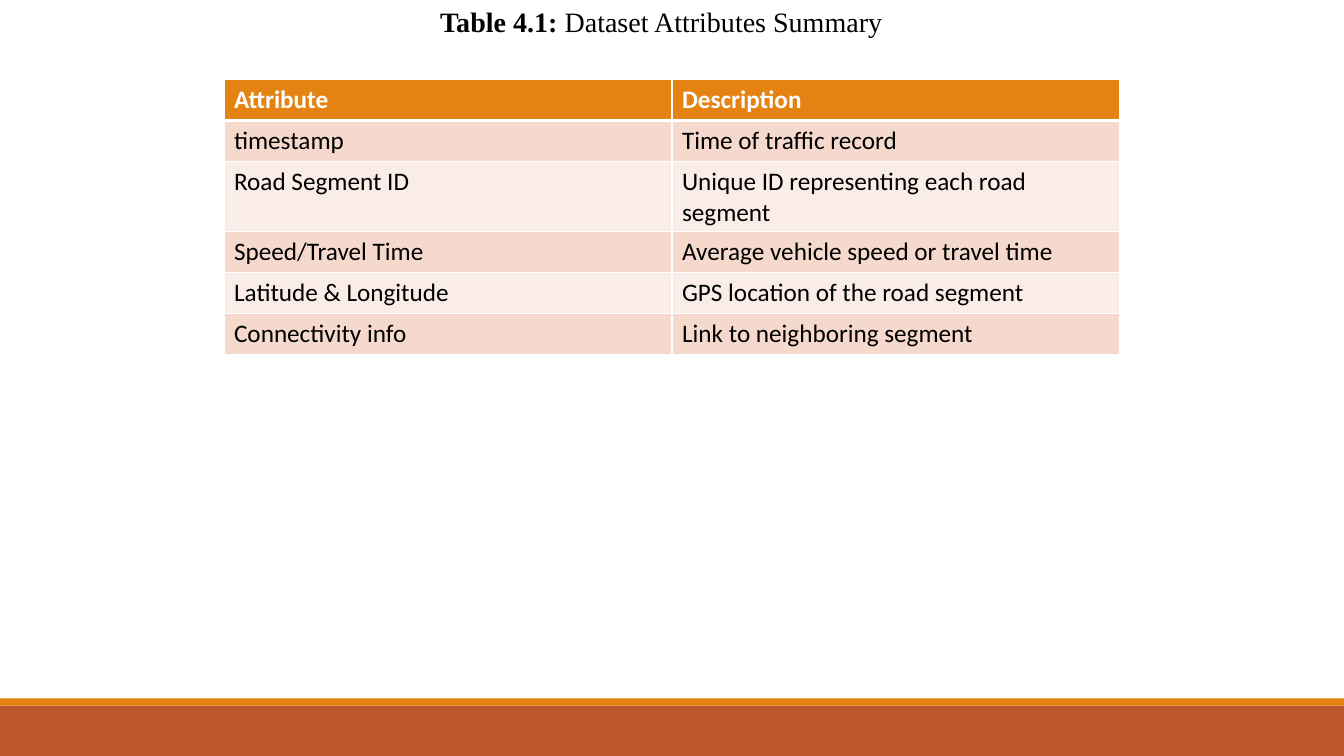
from dataclasses import dataclass

from lxml.etree import SubElement
from pptx import Presentation
from pptx.dml.color import RGBColor
from pptx.enum.shapes import MSO_SHAPE as Preset
from pptx.enum.text import MSO_AUTO_SIZE as AutoSize, PP_ALIGN as Align
from pptx.oxml.ns import qn
from pptx.util import Inches, Pt


@dataclass(frozen=True)
class Theme:
    orange: str = "E48312"
    rust: str = "BD582C"
    bands: tuple = ("F5D9CC", "FAEDE7")
    white: str = "FFFFFF"
    black: str = "000000"
    caption_font: str = "Times New Roman"
    table_font: str = "Calibri"
    caption_size: int = 20
    table_size: int = 18
    rule: int = 1
    header_rule: int = 3


WIDTH, HEIGHT = Inches(13.33), Inches(7.5)
COLUMNS, ROWS = 12, 75

ATTRIBUTES = [
    ("Attribute", "Description"),
    ("timestamp", "Time of traffic record"),
    ("Road Segment ID", "Unique ID representing each road segment"),
    ("Speed/Travel Time", "Average vehicle speed or travel time"),
    ("Latitude & Longitude", "GPS location of the road segment"),
    ("Connectivity info", "Link to neighboring segment"),
]


def write(paragraph, text, *, font, size, color, bold=False):
    run = paragraph.add_run()
    run.text = text
    run.font.name = font
    run.font.size = Pt(size)
    run.font.bold = bold
    run.font.color.rgb = RGBColor.from_string(color)


class SlideBuilder:
    def __init__(self, slide, theme):
        self.slide = slide
        self.theme = theme

    def place(self, column, row, columns, rows):
        across, down = WIDTH / COLUMNS, HEIGHT / ROWS
        return (round(column * across), round(row * down),
                round(columns * across), round(rows * down))

    def band(self, row, rows, color):
        stripe = self.slide.shapes.add_shape(
            Preset.RECTANGLE, *self.place(0, row, COLUMNS, rows))
        stripe.shadow.inherit = False
        stripe.fill.solid()
        stripe.fill.fore_color.rgb = RGBColor.from_string(color)
        stripe.line.fill.background()

    def caption(self, label, title, *area):
        frame = self.slide.shapes.add_textbox(*self.place(*area)).text_frame
        frame.word_wrap = True
        frame.auto_size = AutoSize.SHAPE_TO_FIT_TEXT
        heading = frame.paragraphs[0]
        heading.alignment = Align.CENTER
        for words, bold in ((label, True), (title, False)):
            write(heading, words, font=self.theme.caption_font,
                  size=self.theme.caption_size, color=self.theme.black, bold=bold)

    def border(self, cell, side, width):
        properties = cell._tc.get_or_add_tcPr()
        edge = SubElement(properties, qn(f"a:ln{side}"), w=str(Pt(width)))
        fill = SubElement(edge, qn("a:solidFill"))
        SubElement(fill, qn("a:srgbClr"), val=self.theme.white)

    def cell(self, cell, text, index):
        theme = self.theme
        header = index == 0
        widths = {
            "L": theme.rule,
            "R": theme.rule,
            "T": theme.header_rule if index == 1 else theme.rule,
            "B": theme.header_rule if header else theme.rule,
        }
        for side, width in widths.items():
            self.border(cell, side, width)
        cell.fill.solid()
        cell.fill.fore_color.rgb = RGBColor.from_string(
            theme.orange if header else theme.bands[(index - 1) % 2])
        write(cell.text_frame.paragraphs[0], text, font=theme.table_font,
              size=theme.table_size, bold=header,
              color=theme.white if header else theme.black)

    def table(self, records, column, row, columns, row_height):
        area = self.place(column, row, columns, row_height * len(records))
        table = self.slide.shapes.add_table(
            len(records), len(records[0]), *area).table
        for index, record in enumerate(records):
            for position, text in enumerate(record):
                self.cell(table.cell(index, position), text, index)


def main():
    deck = Presentation()
    deck.slide_width, deck.slide_height = WIDTH, HEIGHT
    theme = Theme()
    builder = SlideBuilder(deck.slides.add_slide(deck.slide_layouts[6]), theme)
    builder.band(70, 5, theme.rust)
    builder.band(69.3, 0.7, theme.orange)
    builder.caption("Table 4.1: ", "Dataset Attributes Summary", 0.62, 0, 10.57, 4.4)
    builder.table(ATTRIBUTES, 2, 7.9, 8, 4.05)
    deck.save("out.pptx")


if __name__ == "__main__":
    main()
